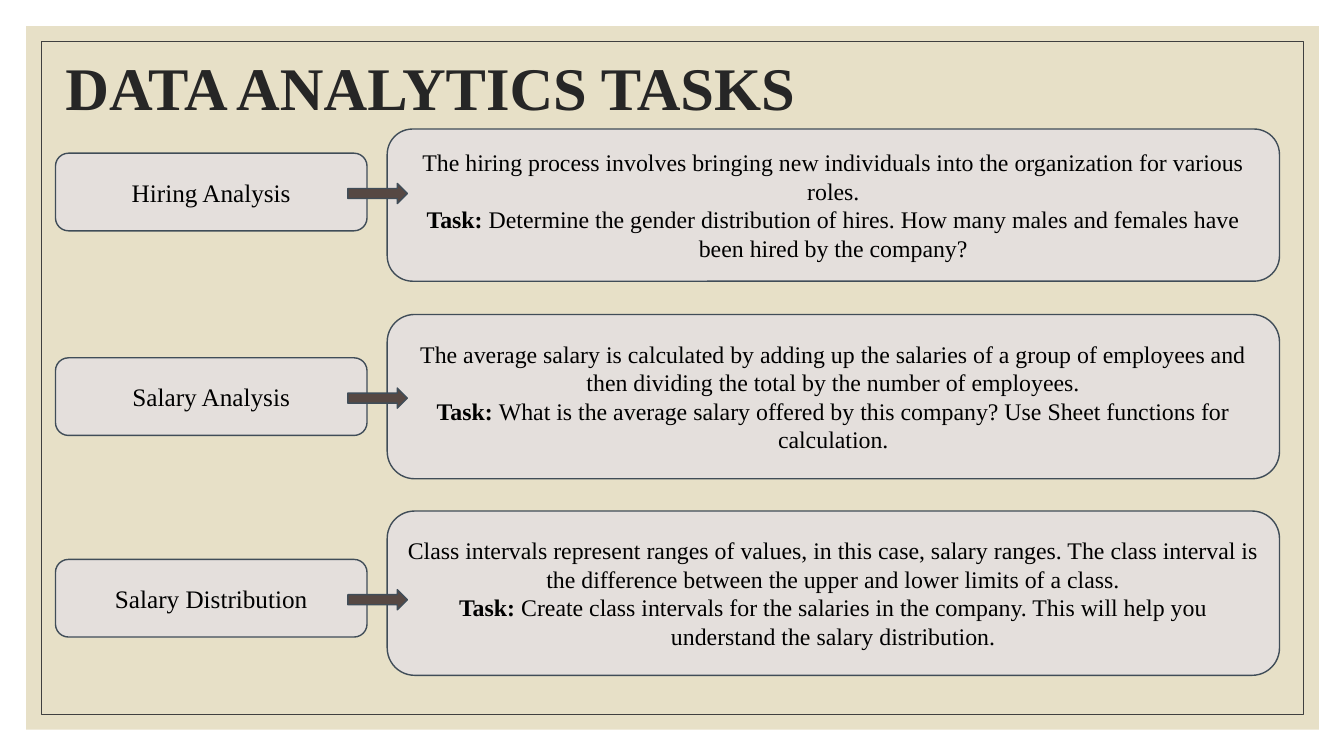
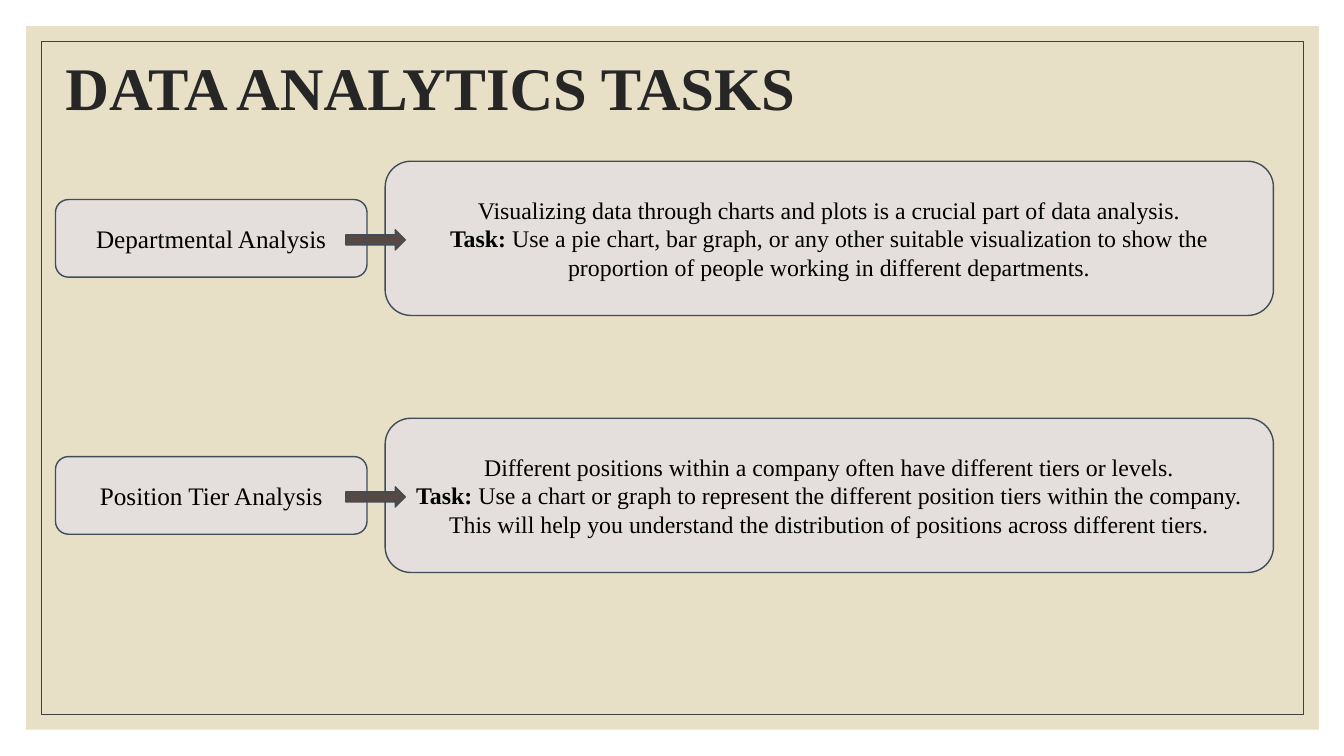
from pptx import Presentation
from pptx.dml.color import RGBColor
from pptx.enum.shapes import MSO_SHAPE
from pptx.enum.text import MSO_ANCHOR, PP_ALIGN
from pptx.util import Inches, Pt

RECT = MSO_SHAPE.RECTANGLE
CARD = MSO_SHAPE.FLOWCHART_ALTERNATE_PROCESS
ARROW = MSO_SHAPE.RIGHT_ARROW
MIDDLE = MSO_ANCHOR.MIDDLE
LEFT, CENTER = PP_ALIGN.LEFT, PP_ALIGN.CENTER

SAND = RGBColor(0xE7, 0xE0, 0xC7)
GREY = RGBColor(0x40, 0x40, 0x40)
INK = RGBColor(0x26, 0x26, 0x26)
BLACK = RGBColor(0x00, 0x00, 0x00)
STONE = RGBColor(0xE4, 0xDF, 0xDC)
SLATE = RGBColor(0x40, 0x4D, 0x58)
BROWN = RGBColor(0x56, 0x48, 0x43)

FONT = "Times New Roman"
TITLE = "DATA ANALYTICS TASKS"
LABEL_X, LABEL_W, LABEL_H = 0.55, 3.09, 0.77
ARROW_W, ARROW_H = 0.59, 0.2

HIRING = [
    ("Hiring Analysis", 1.52, 1.28, 1.51,
     "The hiring process involves bringing new individuals into the "
     "organization for various roles.",
     "Determine the gender distribution of hires. How many males and "
     "females have been hired by the company?"),
    ("Salary Analysis", 3.55, 3.12, 1.63,
     "The average salary is calculated by adding up the salaries of a group "
     "of employees and then dividing the total by the number of employees.",
     "What is the average salary offered by this company? Use Sheet "
     "functions for calculation."),
    ("Salary Distribution", 5.55, 5.07, 1.63,
     "Class intervals represent ranges of values, in this case, salary "
     "ranges. The class interval is the difference between the upper and "
     "lower limits of a class.",
     "Create class intervals for the salaries in the company. This will "
     "help you understand the salary distribution."),
]
STAFF = [
    ("Departmental Analysis", 1.98, 1.6, 1.53,
     "Visualizing data through charts and plots is a crucial part of data "
     "analysis.",
     "Use a pie chart, bar graph, or any other suitable visualization to "
     "show the proportion of people working in different departments."),
    ("Position Tier Analysis", 4.53, 4.15, 1.53,
     "Different positions within a company often have different tiers or "
     "levels.",
     "Use a chart or graph to represent the different position tiers within "
     "the company. This will help you understand the distribution of "
     "positions across different tiers."),
]


def add_box(slide, kind, box, fill=None, line=None, width=1):
    shape = slide.shapes.add_shape(kind, *map(Inches, box))
    shape.shadow.inherit = False
    if fill is None:
        shape.fill.background()
    else:
        shape.fill.solid()
        shape.fill.fore_color.rgb = fill
    if line is None:
        shape.line.fill.background()
    else:
        shape.line.color.rgb = line
        shape.line.width = Pt(width)
    return shape


def write(shape, paras, size, color=BLACK, align=CENTER, space=1.0):
    frame = shape.text_frame
    frame.word_wrap = True
    frame.vertical_anchor = MIDDLE
    for i, runs in enumerate(paras):
        para = frame.add_paragraph() if i else frame.paragraphs[0]
        para.alignment = align
        para.line_spacing = space
        for text, bold in runs:
            run = para.add_run()
            run.text = text
            run.font.name = FONT
            run.font.size = Pt(size)
            run.font.bold = bold
            run.font.color.rgb = color


def add_frame(slide):
    add_box(slide, RECT, (0.26, 0.26, 12.82, 6.98), fill=SAND)
    add_box(slide, RECT, (0.41, 0.41, 12.52, 6.68), line=GREY, width=0.5)
    title = slide.shapes.add_textbox(*map(Inches, (0.55, 0.52, 11, 0.77)))
    write(title, [[(TITLE, True)]], 43.2, INK, LEFT, 0.9)


def add_row(slide, left, width, row):
    name, label_y, top, height, intro, task = row
    label = add_box(slide, CARD, (LABEL_X, label_y, LABEL_W, LABEL_H),
                    STONE, SLATE)
    write(label, [[(name, False)]], 18)
    panel = add_box(slide, CARD, (left, top, width, height), STONE, SLATE)
    write(panel, [[(intro, False)], [("Task: ", True), (task, False)]], 17)
    add_box(slide, ARROW, (left - 0.39, label_y + 0.3, ARROW_W, ARROW_H),
            BROWN, SLATE)


def add_tasks(deck, left, width, rows):
    slide = deck.slides.add_slide(deck.slide_layouts[6])
    add_frame(slide)
    for row in rows:
        add_row(slide, left, width, row)


def main():
    deck = Presentation()
    deck.slide_width = Inches(13.33)
    deck.slide_height = Inches(7.5)
    add_tasks(deck, 3.84, 8.85, HIRING)
    add_tasks(deck, 3.82, 8.81, STAFF)
    deck.save("out.pptx")


if __name__ == "__main__":
    main()
